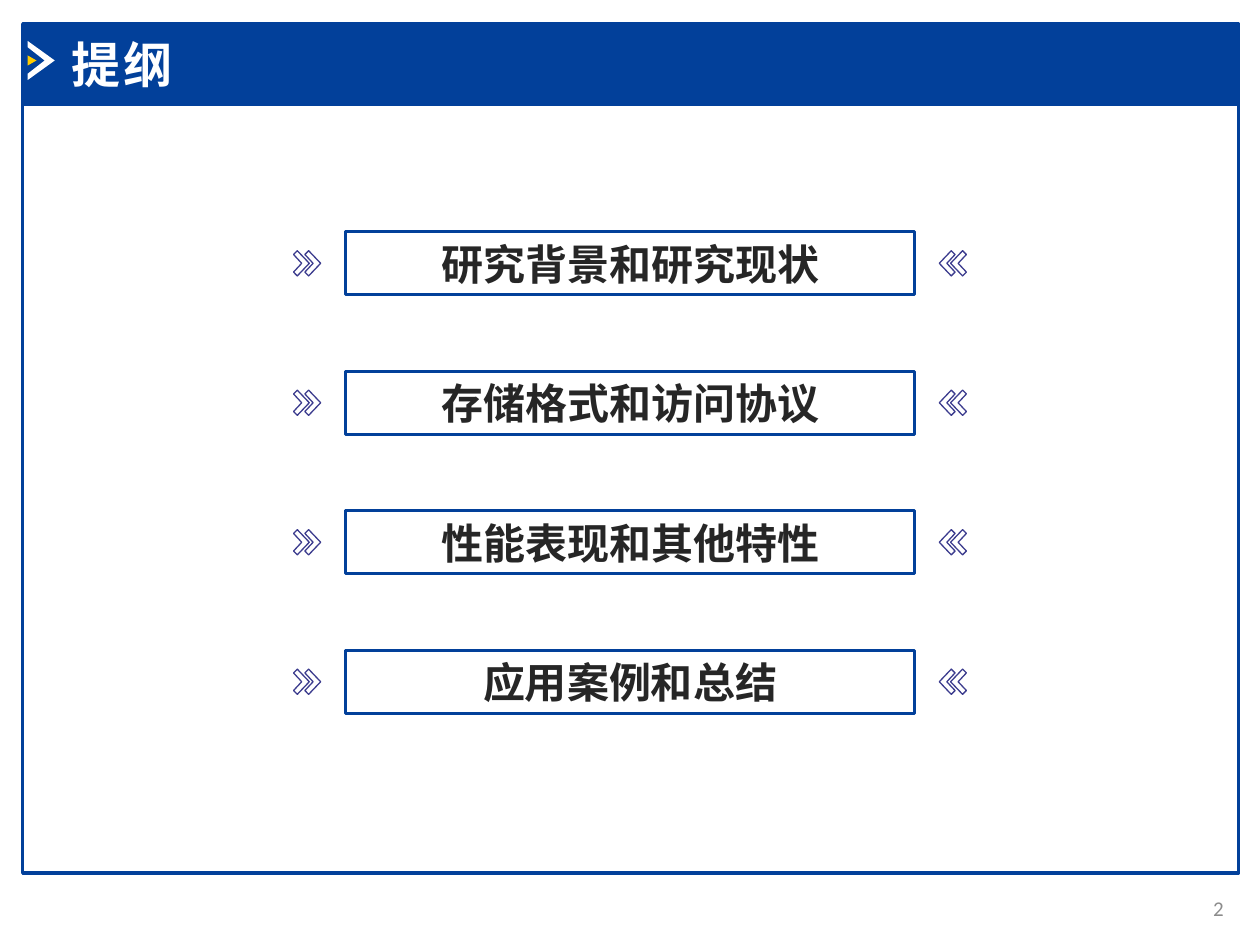
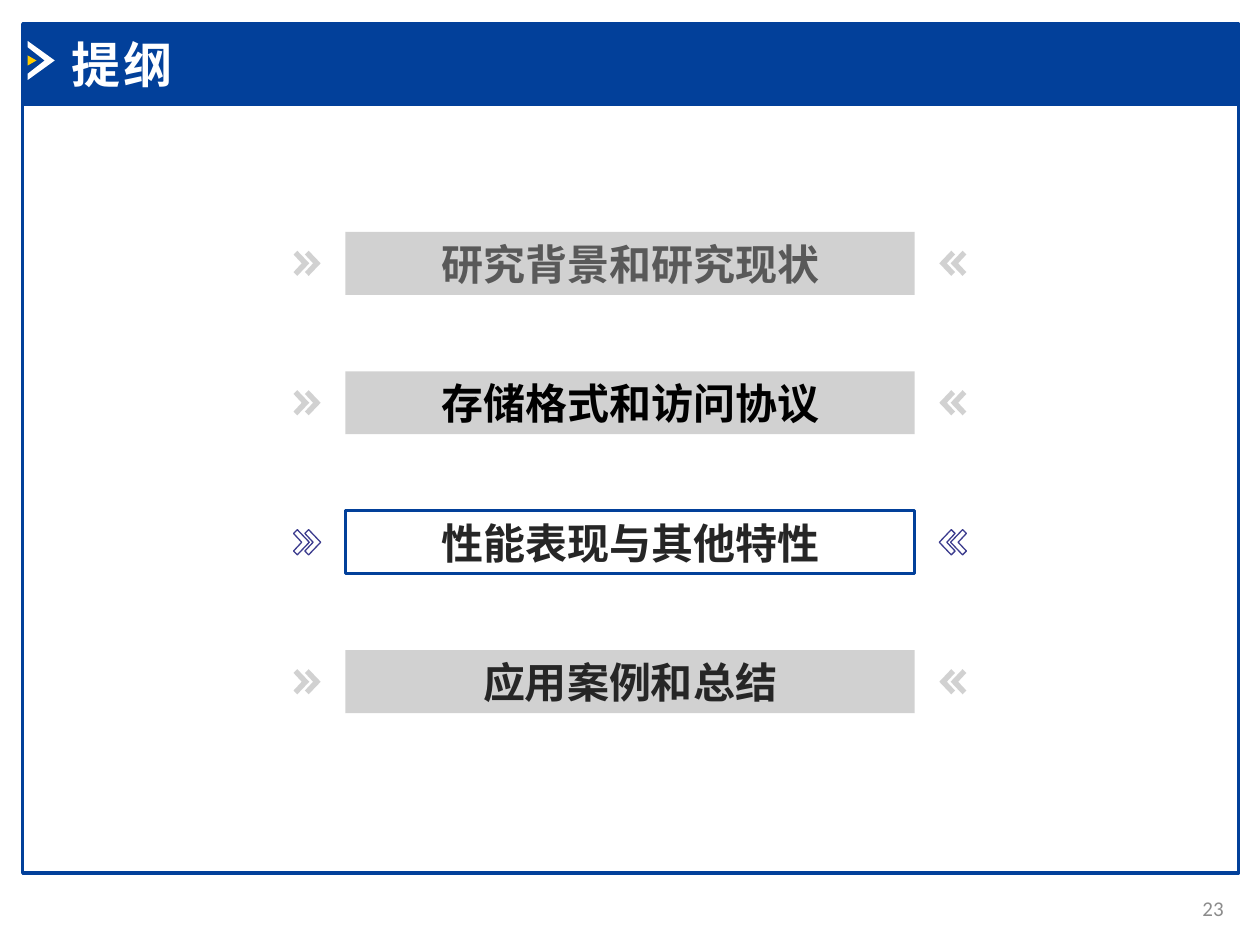
from dataclasses import dataclass
from typing import Any, Optional

from lxml.etree import SubElement as Sub
from pptx import Presentation
from pptx.dml.color import RGBColor as Rgb
from pptx.enum.shapes import MSO_SHAPE as Kind
from pptx.enum.text import MSO_ANCHOR as Anchor, PP_ALIGN as Align
from pptx.oxml.ns import qn
from pptx.util import Inches, Pt

COLS, ROWS = 100, 75
WIDE, HIGH = Inches(10), Inches(7.5)


@dataclass(frozen=True)
class Theme:
    """Colours, fonts and type sizes shared by the slides."""
    blue: str = "02409A"
    violet: str = "3C3C8E"
    gold: str = "FFCC00"
    white: str = "FFFFFF"
    grey: str = "A5A5A5"
    ink: str = "262626"
    black: str = "000000"
    faded: str = "595959"
    folio: str = "8C8C8C"
    latin: str = "Calibri"
    han: str = "Noto Sans CJK SC"
    title: int = 28
    topic: int = 24
    small: int = 12


T = Theme()


@dataclass(frozen=True)
class Look:
    """Fill and outline of a shape."""
    fill: Optional[str] = None
    line: Optional[str] = None
    width: float = 0
    alpha: int = 100


@dataclass(frozen=True)
class Type:
    """Type style of one line of text."""
    size: int
    color: str
    font: str = T.latin
    bold: bool = False
    align: Any = Align.LEFT
    track: int = 0
    inset: float = 1


@dataclass(frozen=True)
class Area:
    """Place on the grid in columns and rows."""
    left: float
    top: float
    width: float
    height: float


@dataclass(frozen=True)
class Topic:
    """One outline entry."""
    text: str
    color: str = T.ink
    dim: bool = False


@dataclass(frozen=True)
class Page:
    """One outline slide."""
    number: int
    topics: tuple[Topic, ...]


FRAME = Look(line=T.blue, width=2)
BAND = Look(T.blue, T.blue, 2)
BOX = Look(line=T.blue, width=1.5)
ARROW = Look(line=T.violet, width=0.75)
DIM = Look(T.grey, alpha=50)

BODY = Area(1.8, 8.3, 96.5, 61)
HEAD = Area(1.8, 1.9, 96.5, 6.4)
TITLE = Area(4.7, 2.2, 35.6, 5.7)
FOLIO = Area(92.2, 70.1, 5.9, 4)
FIRST = Area(27.4, 18.4, 45.2, 5)
PITCH = 11.07

MARK = ((2.2, 3.25), (2.2, 3.75), (3.55, 4.8), (2.2, 5.85), (2.2, 6.35), (4.35, 4.8))
TIP = ((2.2, 4.4), (2.2, 5.2), (2.9, 4.8))
CHEVRON = ((0.3, -1), (0, -0.7), (0.65, 0), (0, 0.7), (0.3, 1), (1.25, 0))
STARTS = (23.3, 24.2)

PAGES = (
    Page(2, (
        Topic("研究背景和研究现状"),
        Topic("存储格式和访问协议"),
        Topic("性能表现和其他特性"),
        Topic("应用案例和总结"),
    )),
    Page(23, (
        Topic("研究背景和研究现状", T.faded, True),
        Topic("存储格式和访问协议", T.black, True),
        Topic("性能表现与其他特性"),
        Topic("应用案例和总结", dim=True),
    )),
)


def col(n: float) -> int:
    """Turn grid columns into a length."""
    return round(WIDE * n / COLS)


def row(n: float) -> int:
    """Turn grid rows into a length."""
    return round(HIGH * n / ROWS)


def place(area: Area) -> tuple[int, int, int, int]:
    """Turn a grid area into lengths."""
    return col(area.left), row(area.top), col(area.width), row(area.height)


def apply(item: Any, values: dict[str, Any]) -> None:
    """Set each named value on the item."""
    for name, value in values.items():
        setattr(item, name, value)


def paint(shape: Any, look: Look) -> None:
    """Give a shape its fill and outline."""
    shape.shadow.inherit = False
    if look.fill:
        shape.fill.solid()
        shape.fill.fore_color.rgb = Rgb.from_string(look.fill)
        if look.alpha < 100:
            tint = shape.fill._xPr.find(".//" + qn("a:srgbClr"))
            Sub(tint, qn("a:alpha"), val=str(look.alpha * 1000))
    else:
        shape.fill.background()
    if look.line:
        shape.line.color.rgb = Rgb.from_string(look.line)
        shape.line.width = Pt(look.width)
    else:
        shape.line.fill.background()


def rect(slide: Any, area: Area, look: Look) -> Any:
    """Draw a rectangle."""
    shape = slide.shapes.add_shape(Kind.RECTANGLE, *place(area))
    paint(shape, look)
    return shape


def poly(slide: Any, dots: Any, look: Look) -> None:
    """Draw a closed outline through grid points."""
    first, *rest = [(col(x), row(y)) for x, y in dots]
    pen = slide.shapes.build_freeform(*first)
    pen.add_line_segments(rest, close=True)
    paint(pen.convert_to_shape(), look)


def write(shape: Any, text: str, style: Type) -> None:
    """Put one styled line of text in a shape."""
    frame = shape.text_frame
    side = col(style.inset)
    apply(frame, {
        "word_wrap": True, "vertical_anchor": Anchor.MIDDLE,
        "margin_left": side, "margin_right": side,
        "margin_top": 0, "margin_bottom": 0,
    })
    para = frame.paragraphs[0]
    para.alignment = style.align
    run = para.add_run()
    run.text = text
    apply(run.font, {"size": Pt(style.size), "bold": style.bold, "name": style.font})
    run.font.color.rgb = Rgb.from_string(style.color)
    props = run._r.get_or_add_rPr()
    Sub(props, qn("a:ea"), typeface=T.han)
    if style.track:
        props.set("spc", str(style.track * 100))


def label(slide: Any, area: Area, text: str, style: Type) -> None:
    """Add a text box."""
    write(slide.shapes.add_textbox(*place(area)), text, style)


def base(slide: Any, number: int) -> None:
    """Draw the frame, title band and page number."""
    rect(slide, BODY, FRAME)
    rect(slide, HEAD, BAND)
    poly(slide, MARK, Look(T.white))
    poly(slide, TIP, Look(T.gold))
    label(slide, TITLE, "提纲", Type(T.title, T.white, bold=True, track=2))
    label(slide, FOLIO, str(number), Type(T.small, T.folio, align=Align.RIGHT))


def entry(slide: Any, topic: Topic, index: int) -> None:
    """Draw an outline entry with mirrored chevrons."""
    area = Area(FIRST.left, FIRST.top + index * PITCH, FIRST.width, FIRST.height)
    box = rect(slide, area, DIM if topic.dim else BOX)
    write(box, topic.text, Type(T.topic, topic.color, T.han, True, Align.CENTER))
    mid = area.top + area.height / 2
    for start in STARTS:
        dots = [(start + x, mid + y) for x, y in CHEVRON]
        for side in (dots, [(COLS - x, y) for x, y in dots]):
            poly(slide, side, DIM if topic.dim else ARROW)


def main() -> None:
    """Build and save the slides."""
    deck = Presentation()
    apply(deck, {"slide_width": WIDE, "slide_height": HIGH})
    for page in PAGES:
        slide = deck.slides.add_slide(deck.slide_layouts[6])
        base(slide, page.number)
        for index, topic in enumerate(page.topics):
            entry(slide, topic, index)
    deck.save("out.pptx")


if __name__ == "__main__":
    main()
